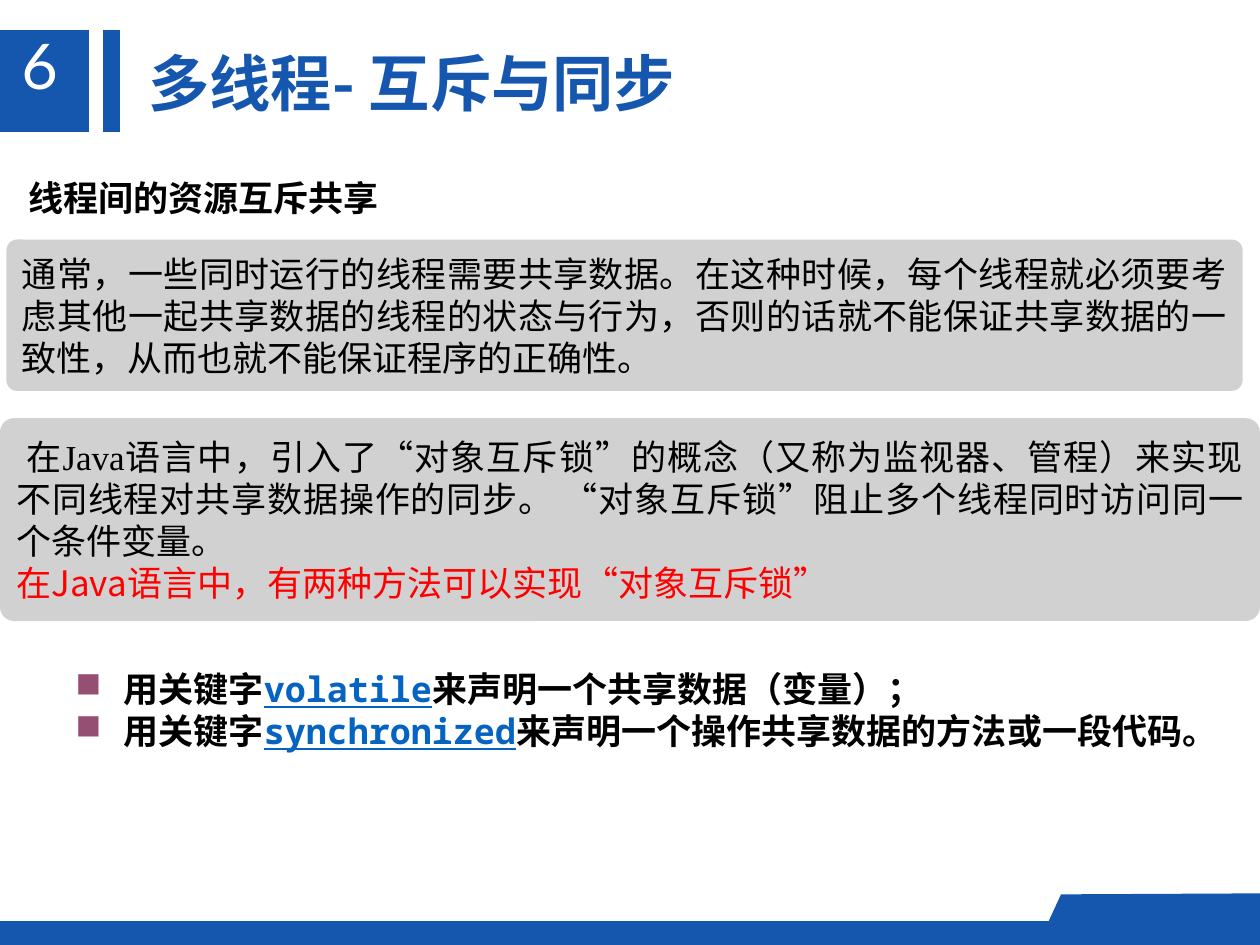
from dataclasses import dataclass
from lxml.etree import SubElement as Sub
from pptx import Presentation
from pptx.dml.color import RGBColor as RGB
from pptx.enum.shapes import MSO_SHAPE as Shape
from pptx.enum.text import MSO_ANCHOR as Anchor, PP_ALIGN as Align
from pptx.oxml.ns import qn
from pptx.util import Cm, Pt


@dataclass(frozen=True)
class Theme:
    blue: str = "1557AE"
    gray: str = "A5A5A5"
    black: str = "000000"
    white: str = "FFFFFF"
    red: str = "FF0000"
    link: str = "0563C1"
    mark: str = "954F72"
    sans: str = "Noto Sans CJK SC"
    serif: str = "Times New Roman"
    mono: str = "Noto Sans Mono"
    digit: str = "Lato"
    num: int = 36
    title: int = 35
    body: int = 20
    small: int = 18
    lead: float = 1.2


T = Theme()


def add_run(para, text, *, font=T.serif, size=T.body, color=T.black,
            bold=False, line=False):
    run = para.add_run()
    run.text = text
    face = run.font
    face.name, face.size, face.bold = font, Pt(size), bold
    face.underline = line
    face.color.rgb = RGB.from_string(color)
    # East Asian glyphs share one face
    Sub(run._r.get_or_add_rPr(), qn("a:ea"), typeface=T.sans)


def add_para(frame, first, size=T.body, align=Align.LEFT):
    para = frame.paragraphs[0] if first else frame.add_paragraph()
    para.alignment = align
    para.line_spacing = Pt(size * T.lead)
    return para


def add_mark(para):
    props = para._p.get_or_add_pPr()
    props.set("marL", str(Cm(2.24)))
    props.set("indent", str(Cm(-0.97)))
    tint = Sub(props, qn("a:buClr"))
    Sub(tint, qn("a:srgbClr"), val=T.mark)
    Sub(props, qn("a:buChar"), char="■")


def add_box(slide, x, y, w, h):
    frame = slide.shapes.add_textbox(Cm(x), Cm(y), Cm(w), Cm(h)).text_frame
    frame.word_wrap = True
    return frame


def paint(shape, color, alpha=None):
    shape.shadow.inherit = False
    shape.line.fill.background()
    shape.fill.solid()
    shape.fill.fore_color.rgb = RGB.from_string(color)
    if alpha:
        tone = shape._element.spPr.find(".//" + qn("a:srgbClr"))
        Sub(tone, qn("a:alpha"), val=str(alpha * 1000))


def add_block(slide, x, y, w, h):
    paint(slide.shapes.add_shape(Shape.FLOWCHART_PROCESS,
                                 Cm(x), Cm(y), Cm(w), Cm(h)), T.blue)


def add_tab(slide, points):
    dots = [(Cm(x), Cm(y)) for x, y in points]
    form = slide.shapes.build_freeform(*dots[0])
    form.add_line_segments(dots[1:], close=True)
    paint(form.convert_to_shape(), T.blue)


def add_panel(slide, x, y, w, h, lines):
    panel = slide.shapes.add_shape(Shape.ROUNDED_RECTANGLE,
                                   Cm(x), Cm(y), Cm(w), Cm(h))
    panel.adjustments[0] = 0.07
    paint(panel, T.gray, alpha=50)
    frame = panel.text_frame
    frame.word_wrap = True
    frame.vertical_anchor = Anchor.MIDDLE
    for i, (text, style) in enumerate(lines):
        add_run(add_para(frame, i == 0, align=Align.JUSTIFY), text, **style)


def add_list(slide, x, y, w, h, items):
    frame = add_box(slide, x, y, w, h)
    for i, (word, tail) in enumerate(items):
        para = add_para(frame, i == 0)
        para.level = 1
        add_mark(para)
        style = dict(font=T.mono, bold=True)
        add_run(para, "用关键字", **style)
        add_run(para, word, color=T.link, line=True, **style)
        add_run(para, tail, **style)


def main():
    deck = Presentation()
    deck.slide_width, deck.slide_height = Cm(25.4), Cm(19.05)
    slide = deck.slides.add_slide(deck.slide_layouts[6])

    # Header blocks and footer band
    add_block(slide, 0, 0.6, 1.79, 2.06)
    add_block(slide, 2.07, 0.6, 0.36, 2.06)
    add_block(slide, 0, 18.57, 25.4, 0.48)
    add_tab(slide, [(25.4, 18.92), (25.4, 18.01), (21.39, 18.03),
                    (20.98, 18.92)])

    # Number, title and heading
    num = add_para(add_box(slide, 0.18, 0.41, 1.35, 1.8), True, T.num)
    add_run(num, "6", font=T.digit, size=T.num, color=T.white)
    title = add_para(add_box(slide, 2.74, 0.79, 19.4, 1.75), True, T.title)
    add_run(title, "多线程- 互斥与同步", font=T.sans, size=T.title,
            color=T.blue, bold=True)
    head = add_para(add_box(slide, 0.18, 3.43, 12.88, 1.12), True)
    add_run(head, " ", font=T.sans, size=T.small)
    add_run(head, "线程间的资源互斥共享", bold=True)

    # Gray panels
    add_panel(slide, 0.13, 4.83, 24.92, 3.05, [
        ("通常，一些同时运行的线程需要共享数据。在这种时候，每个线程就必须要考虑"
         "其他一起共享数据的线程的状态与行为，否则的话就不能保证共享数据的一致性，"
         "从而也就不能保证程序的正确性。", {})])
    add_panel(slide, 0, 8.43, 25.4, 4.09, [
        (" 在Java语言中，引入了“对象互斥锁”的概念（又称为监视器、管程）来实现"
         "不同线程对共享数据操作的同步。 “对象互斥锁”阻止多个线程同时访问"
         "同一个条件变量。", {}),
        ("在Java语言中，有两种方法可以实现“对象互斥锁”",
         dict(font=T.sans, color=T.red))])

    # Keywords
    add_list(slide, 0, 13.34, 25.07, 1.96, [
        ("volatile", "来声明一个共享数据（变量）；"),
        ("synchronized", "来声明一个操作共享数据的方法或一段代码。")])

    deck.save("out.pptx")


if __name__ == "__main__":
    main()
